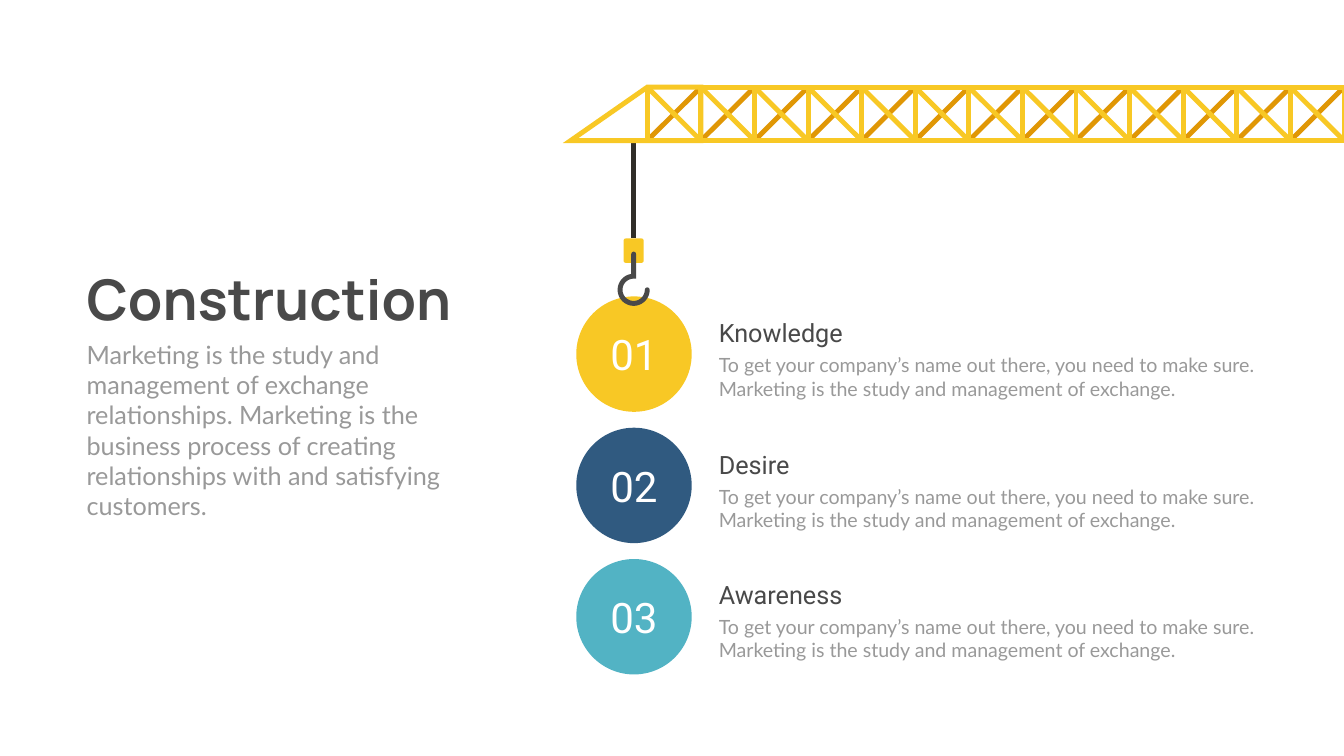
"""Build a construction slide with a crane lifting three numbered steps."""
import math
from dataclasses import dataclass
from typing import Any

import lxml.etree
import pptx
import pptx.dml.color
import pptx.enum.shapes
import pptx.enum.text
import pptx.oxml.ns
import pptx.util

Pt = pptx.util.Pt
Kind = pptx.enum.shapes.MSO_SHAPE
HUES = {
    "yellow": "F8C825",
    "orange": "E09705",
    "blue": "305A80",
    "teal": "52B3C4",
    "cable": "302E29",
    "dark": "494949",
    "gray": "999999",
    "white": "FFFFFF",
}
WIDTH, HEIGHT = 1919.52, 1080
STROKE = 7
TOP, BASE = 124.56, 200.88
START, TIP = 924.5, 815
BAYS = 13
BAY = (WIDTH - START) / BAYS
HOOK_X, HOOK_Y, HOOK_R = 905, 414, 19.4
DISC, DISC_X, DISC_Y, PITCH = 164.9, 823, 423.4, 187.6
TEXT_X = 1019.5
BODY = (
    "To get your company’s name out there, you need to make sure. "
    "Marketing is the study and management of exchange."
)
INTRO = (
    "Marketing is the study and management of exchange relationships. "
    "Marketing is the business process of creating relationships with "
    "and satisfying customers."
)


@dataclass
class Step:
    label: str
    title: str
    hue: str
    top: float


@dataclass
class Label:
    text: str
    left: float
    top: float
    width: float
    height: float
    size: float
    face: str
    hue: str
    bold: bool = False
    wrap: bool = True


STEPS = [
    Step("01", "Knowledge", "yellow", 450),
    Step("02", "Desire", "blue", 637.9),
    Step("03", "Awareness", "teal", 823.7),
]


def tint(hue: str) -> pptx.dml.color.RGBColor:
    return pptx.dml.color.RGBColor.from_string(HUES[hue])


def style(para: Any, size: float, face: str, hue: str, bold: bool = False) -> None:
    para.font.size = Pt(size)
    para.font.name = face
    para.font.bold = bold
    para.font.color.rgb = tint(hue)


def write(slide: Any, item: Label) -> None:
    box = slide.shapes.add_textbox(
        Pt(item.left), Pt(item.top), Pt(item.width), Pt(item.height)
    )
    frame = box.text_frame
    frame.word_wrap = item.wrap
    frame.auto_size = pptx.enum.text.MSO_AUTO_SIZE.SHAPE_TO_FIT_TEXT
    para = frame.paragraphs[0]
    para.text = item.text
    style(para, item.size, item.face, item.hue, item.bold)


def stroke(shape: Any, hue: str, cap: str = "flat") -> None:
    shape.line.width = Pt(STROKE)
    shape.line.color.rgb = tint(hue)
    qn = pptx.oxml.ns.qn
    line = shape._element.spPr.find(qn("a:ln"))
    line.set("cap", cap)
    lxml.etree.SubElement(line, qn("a:miter")).set("lim", "800000")


def beam(slide: Any, x1: float, y1: float, x2: float, y2: float, hue: str) -> Any:
    line = slide.shapes.add_connector(
        pptx.enum.shapes.MSO_CONNECTOR.STRAIGHT, Pt(x1), Pt(y1), Pt(x2), Pt(y2)
    )
    stroke(line, hue)
    lxml.etree.SubElement(line._element.spPr, pptx.oxml.ns.qn("a:effectLst"))
    return line


def solid(
    slide: Any, kind: Any, left: float, top: float, width: float, height: float, hue: str
) -> Any:
    shape = slide.shapes.add_shape(kind, Pt(left), Pt(top), Pt(width), Pt(height))
    shape.shadow.inherit = False
    shape.fill.solid()
    shape.fill.fore_color.rgb = tint(hue)
    shape.line.fill.background()
    return shape


def trace(
    slide: Any, dots: list[tuple[float, float]], hue: str, close: bool, cap: str = "flat"
) -> None:
    points = [(Pt(x), Pt(y)) for x, y in dots]
    form = slide.shapes.build_freeform(*points[0])
    form.add_line_segments(points[1:], close=close)
    shape = form.convert_to_shape()
    shape.shadow.inherit = False
    shape.fill.background()
    stroke(shape, hue, cap)


def draw_step(slide: Any, index: int, step: Step) -> None:
    disc = solid(
        slide, Kind.OVAL, DISC_X, DISC_Y + index * PITCH, DISC, DISC, step.hue
    )
    frame = disc.text_frame
    frame.vertical_anchor = pptx.enum.text.MSO_ANCHOR.MIDDLE
    para = frame.paragraphs[0]
    para.text = step.label
    para.alignment = pptx.enum.text.PP_ALIGN.CENTER
    style(para, 60, "Roboto", "white")
    write(slide, Label(BODY, TEXT_X, step.top + 51.1, 782.6, 74.9, 28, "Lato", "gray"))
    write(slide, Label(step.title, TEXT_X, step.top, 234.7, 51.1, 36, "Roboto", "dark"))


def draw_hook(slide: Any) -> None:
    cable = beam(slide, HOOK_X, BASE, HOOK_X, 340.6, "cable")
    block = solid(
        slide, Kind.ROUNDED_RECTANGLE, HOOK_X - 14.4, 340.6, 28.8, 35, "yellow"
    )
    block.adjustments[0] = 0.12
    cable.end_connect(block, 0)
    curve = [
        (HOOK_X + HOOK_R * math.cos(turn), HOOK_Y + HOOK_R * math.sin(turn))
        for turn in map(math.radians, range(0, 271, 6))
    ]
    trace(slide, curve + [(HOOK_X, 362.9)], "dark", False, "rnd")


def draw_truss(slide: Any) -> None:
    for index in range(BAYS):
        left = START + index * BAY
        right = left + BAY
        beam(slide, left, BASE, right, TOP, "orange")
        foot = left if index else TIP
        frame = [(right, BASE), (right, TOP), (left, TOP), (foot, BASE)]
        trace(slide, frame, "yellow", True)
        beam(slide, left, TOP, right, BASE, "yellow")
    beam(slide, START, TOP, START, BASE, "yellow")


def main() -> None:
    deck = pptx.Presentation()
    deck.slide_width, deck.slide_height = Pt(WIDTH), Pt(HEIGHT)
    slide = deck.slides.add_slide(deck.slide_layouts[6])
    for index, step in enumerate(STEPS):
        draw_step(slide, index, step)
    write(
        slide,
        Label("Construction", 116.6, 373.7, 560.2, 104.4, 80, "Manrope", "dark", True, False),
    )
    write(slide, Label(INTRO, 116.6, 481, 625, 225.4, 36, "Lato", "gray"))
    draw_hook(slide)
    draw_truss(slide)
    deck.save("out.pptx")


if __name__ == "__main__":
    main()
